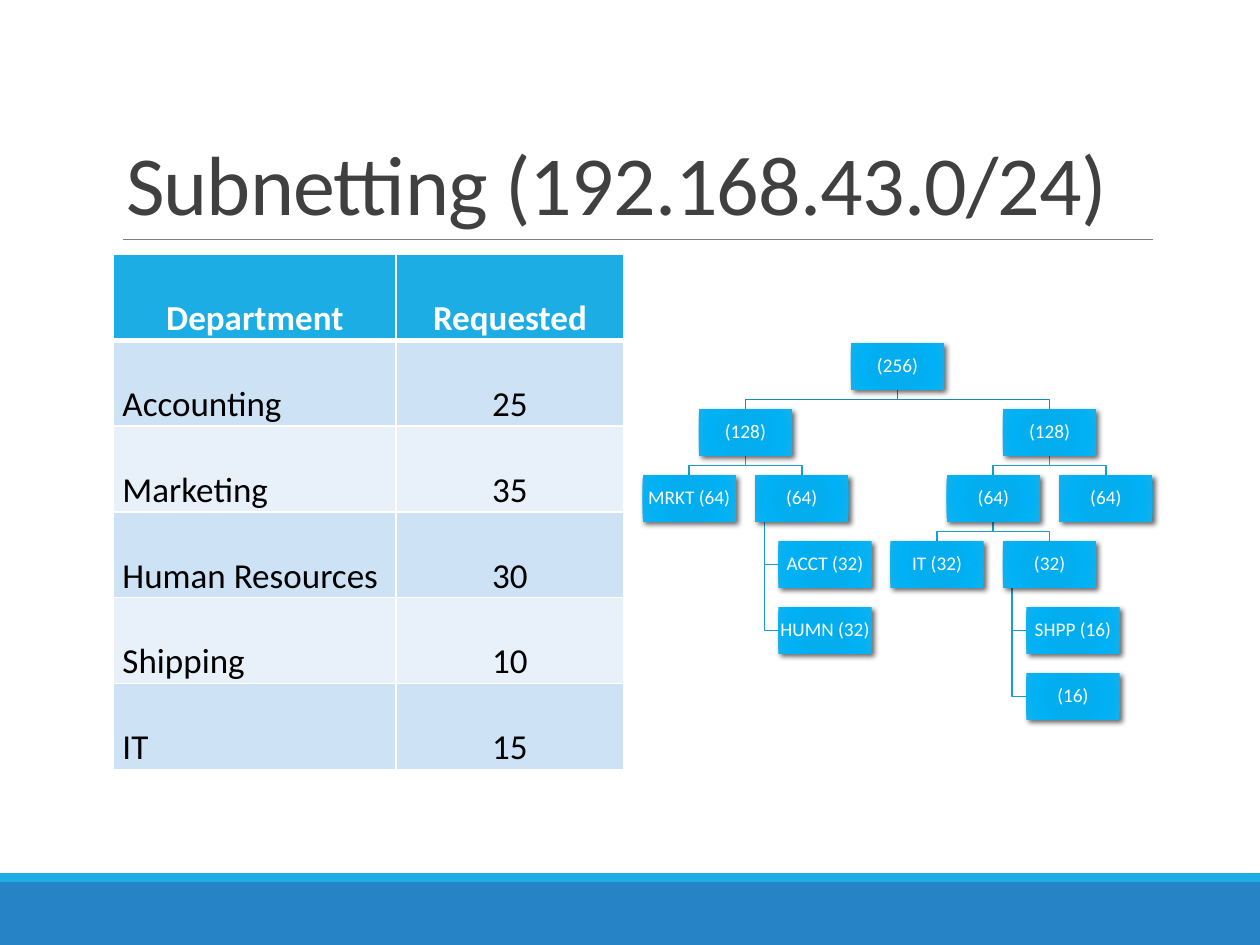
from lxml import etree
from pptx import Presentation
from pptx.dml.color import RGBColor
from pptx.enum.shapes import MSO_CONNECTOR, MSO_SHAPE
from pptx.enum.text import MSO_ANCHOR, PP_ALIGN as AL
from pptx.oxml import parse_xml
from pptx.oxml.ns import nsdecls, qn
from pptx.util import Pt

# Content
TITLE = "Subnetting (192.168.43.0/24)"
ROWS = [
    ("Department", "Requested"),
    ("Accounting", "25"),
    ("Marketing", "35"),
    ("Human Resources", "30"),
    ("Shipping", "10"),
    ("IT", "15"),
]
# Node: label, half distance between the children (None: they hang below), children
HANG, NEAR, FAR = None, 32.15, 86.9
TREE = ("(256)", FAR, [
    ("(128)", NEAR, [
        ("MRKT (64)", HANG, []),
        ("(64)", HANG, [("ACCT (32)", HANG, []), ("HUMN (32)", HANG, [])]),
    ]),
    ("(128)", NEAR, [
        ("(64)", NEAR, [
            ("IT (32)", HANG, []),
            ("(32)", HANG, [("SHPP (16)", HANG, []), ("(16)", HANG, [])]),
        ]),
        ("(64)", HANG, []),
    ]),
])

COLORS = {
    "bar": "2683C6", "accent": "1CADE4", "rule": "808080", "title": "404040",
    "white": "FFFFFF", "black": "000000", "band1": "CDE3F5", "band2": "E8F1FA",
    "top_link": "168BB7", "link": "199DCF",
}
NODE_STOPS = [(0, "00ADEF"), (34, "03ADEE"), (70, "00B1F5"), (100, "12B1EE")]
FONT = "Calibri"
NODE_W, NODE_H, STEP_Y = 53.3, 26.65, 37.7
ROOT_X, ROOT_Y = 512.9, 196.2


def rgb(name):
    return RGBColor.from_string(COLORS[name])


def write(tf, text, size, color, bold=False, align=AL.LEFT, spacing=1.0):
    p = tf.paragraphs[0]
    p.alignment, p.line_spacing = align, spacing
    r = p.add_run()
    r.text = text
    for key, value in {"name": FONT, "size": Pt(size), "bold": bold}.items():
        setattr(r.font, key, value)
    r.font.color.rgb = rgb(color)
    return r


def add_rect(s, x, y, w, h):
    sp = s.shapes.add_shape(MSO_SHAPE.RECTANGLE, Pt(x), Pt(y), Pt(w), Pt(h))
    sp.shadow.inherit = False
    sp.line.fill.background()
    return sp


def set_borders(cell, widths):
    tc_pr = cell._tc.get_or_add_tcPr()
    for side, width in widths.items():
        tc_pr.append(parse_xml(
            f'<a:ln{side} {nsdecls("a")} w="{Pt(width)}"><a:solidFill>'
            f'<a:srgbClr val="{COLORS["white"]}"/></a:solidFill></a:ln{side}>'))


def add_table(s):
    tbl = s.shapes.add_table(len(ROWS), 2, Pt(65), Pt(145.5), Pt(291.6), Pt(288)).table
    for col, width in zip(tbl.columns, (161.3, 130.3)):
        col.width = Pt(width)
    for i, row in enumerate(ROWS):
        head = i == 0
        for j, text in enumerate(row):
            cell = tbl.cell(i, j)
            for key, value in {"margin_left": 5, "margin_right": 5,
                               "margin_top": 0, "margin_bottom": 0}.items():
                setattr(cell, key, Pt(value))
            set_borders(cell, {"L": 1, "R": 1, "T": 3 if i == 1 else 1, "B": 3 if head else 1})
            cell.fill.solid()
            cell.fill.fore_color.rgb = rgb("accent" if head else "band1" if i % 2 else "band2")
            write(cell.text_frame, text, 20, "white" if head else "black", head,
                  AL.CENTER if head or j else AL.LEFT, 2.0)


def lay_out(node, x, y, nodes, links, color="top_link"):
    """Collect node positions (centre, top) and link paths, from the root down."""
    label, spread, children = node
    nodes.append((label, x, y))
    bottom, left = y + NODE_H, x - NODE_W / 2
    for i, child in enumerate(children):
        if spread is HANG:
            cx, cy = x + NODE_W / 4, y + (i + 1) * STEP_Y
            trunk, mid = left + NODE_W / 10, cy + NODE_H / 2
            path = [(trunk, bottom), (trunk, mid), (cx - NODE_W / 2, mid)]
        else:
            cx, cy = x + (2 * i - 1) * spread, y + STEP_Y
            mid = (bottom + cy) / 2
            path = [(x, bottom), (x, mid), (cx, mid), (cx, cy)]
        links.append((path, color))
        lay_out(child, cx, cy, nodes, links, "link")


def add_link(s, path, color):
    start, *rest = [(Pt(x), Pt(y)) for x, y in path]
    fb = s.shapes.build_freeform(*start)
    fb.add_line_segments(rest, close=False)
    sp = fb.convert_to_shape()
    sp.shadow.inherit = False
    sp.fill.background()
    sp.line.color.rgb, sp.line.width = rgb(color), Pt(1)


def add_node(s, label, x, y):
    sp = add_rect(s, x - NODE_W / 2, y, NODE_W, NODE_H)
    # Radial gradient and soft shadow
    stops = "".join(f'<a:gs pos="{pos * 1000}"><a:srgbClr val="{c}"/></a:gs>'
                    for pos, c in NODE_STOPS)
    sp_pr = sp._element.spPr
    sp_pr.find(qn("a:prstGeom")).addnext(parse_xml(
        f'<a:gradFill {nsdecls("a")}><a:gsLst>{stops}</a:gsLst><a:path path="circle">'
        '<a:fillToRect l="100000" t="100000" r="100000" b="100000"/></a:path></a:gradFill>'))
    shadow = etree.SubElement(sp_pr.find(qn("a:effectLst")), qn("a:outerShdw"),
                              blurRad=str(Pt(3)), dist=str(Pt(2)), dir="2700000")
    color = etree.SubElement(shadow, qn("a:srgbClr"), val=COLORS["black"])
    etree.SubElement(color, qn("a:alpha"), val="60000")
    tf = sp.text_frame
    for key in ("margin_left", "margin_top", "margin_right", "margin_bottom"):
        setattr(tf, key, Pt(0.55))
    tf.word_wrap, tf.vertical_anchor = True, MSO_ANCHOR.MIDDLE
    write(tf, label, 11, "white", align=AL.CENTER, spacing=0.9)


def main():
    prs = Presentation()
    prs.slide_width, prs.slide_height = Pt(720), Pt(540)
    s = prs.slides.add_slide(prs.slide_layouts[5])

    # Footer bars and title rule
    for y, h, color in ((504, 36, "bar"), (499, 5, "accent")):
        bar = add_rect(s, 0, y, 720, h)
        bar.fill.solid()
        bar.fill.fore_color.rgb = rgb(color)
    rule = s.shapes.add_connector(MSO_CONNECTOR.STRAIGHT, Pt(70.5), Pt(136.8), Pt(659), Pt(136.8))
    rule.line.color.rgb, rule.line.width = rgb("rule"), Pt(0.5)
    etree.SubElement(rule._element.spPr, qn("a:effectLst"))

    # Title
    title = s.shapes.title
    for key, value in {"left": 64.8, "top": 22.6, "width": 594, "height": 114.2}.items():
        setattr(title, key, Pt(value))
    title.text_frame.vertical_anchor = MSO_ANCHOR.BOTTOM
    r = write(title.text_frame, TITLE, 48, "title", spacing=0.85)
    r.font._element.set("spc", "-50")

    # Request table and address tree
    add_table(s)
    nodes, links = [], []
    lay_out(TREE, ROOT_X, ROOT_Y, nodes, links)
    for link in links:
        add_link(s, *link)
    for node in nodes:
        add_node(s, *node)

    prs.save("out.pptx")


if __name__ == "__main__":
    main()
